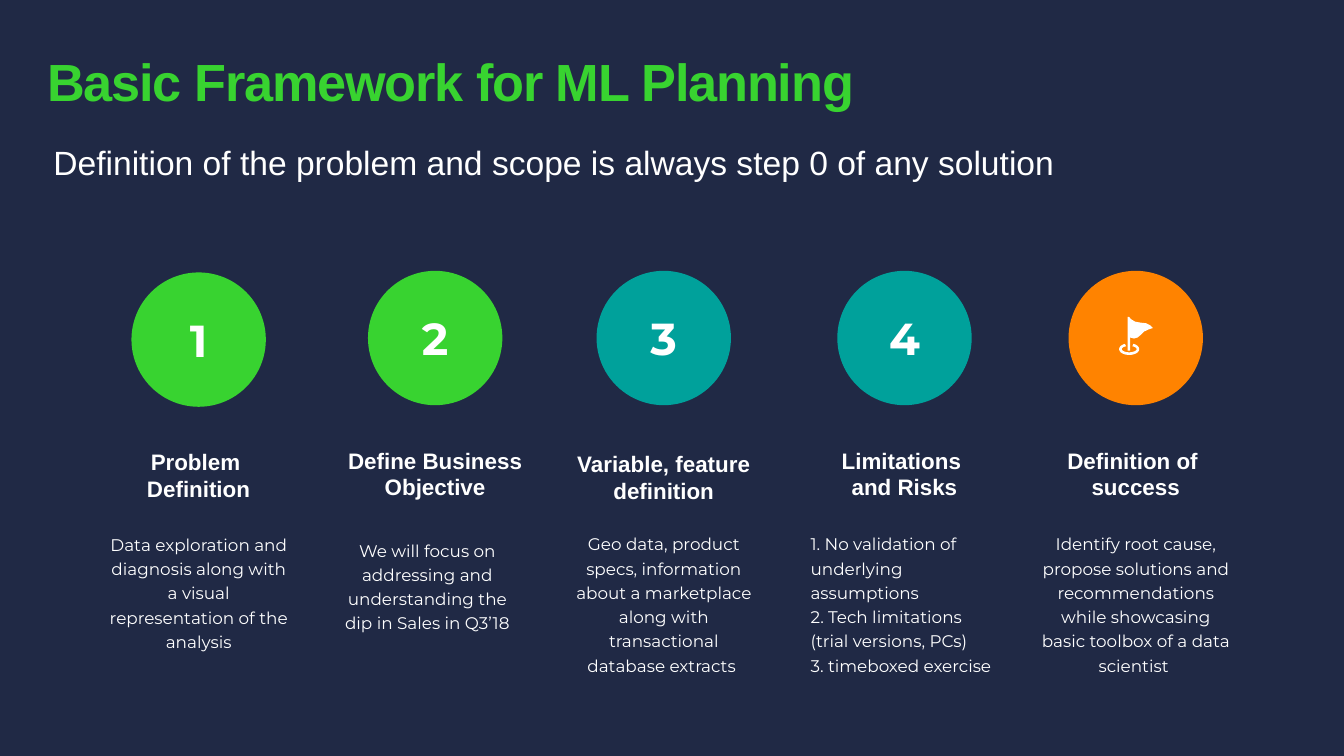
"""Build the ML planning framework slide: a title, a subtitle and five numbered steps."""
import math
import pptx
import pptx.util
import pptx.dml.color
import pptx.enum.shapes
import pptx.enum.text
from pptx.util import Cm

ALIGN = pptx.enum.text.PP_ALIGN
ANCHOR = pptx.enum.text.MSO_ANCHOR
THEME = {
    "navy": "202945", "green": "38D330", "teal": "00A19B", "orange": "FF8300", "white": "FFFFFF",
    "title": {"name": "Arial", "size": 28, "bold": True, "color": "green"},
    "subtitle": {"name": "Arial", "size": 18, "bold": False, "color": "white"},
    "number": {"name": "Montserrat", "size": 24, "bold": True, "color": "white"},
    "heading": {"name": "Arial", "size": 12, "bold": True, "color": "white"},
    "body": {"name": "Montserrat", "size": 9, "bold": False, "color": "white"},
}


def rgb(name):
    return pptx.dml.color.RGBColor.from_string(THEME[name])


def write(sp, lines, style, align, anchor, insets, spacing=None):
    tf = sp.text_frame
    frame = {"word_wrap": True, "auto_size": pptx.enum.text.MSO_AUTO_SIZE.NONE,
             "vertical_anchor": anchor,
             "margin_left": Cm(insets[0]), "margin_right": Cm(insets[0]),
             "margin_top": Cm(insets[1]), "margin_bottom": Cm(insets[1])}
    for key, value in frame.items():
        setattr(tf, key, value)
    for i, line in enumerate(lines):
        p = tf.paragraphs[0] if i == 0 else tf.add_paragraph()
        p.alignment = align
        p.space_before = pptx.util.Pt(0)
        if spacing:
            p.line_spacing = spacing
        r = p.add_run()
        r.text = line
        font = {"name": THEME[style]["name"], "bold": THEME[style]["bold"],
                "size": pptx.util.Pt(THEME[style]["size"])}
        for key, value in font.items():
            setattr(r.font, key, value)
        r.font.color.rgb = rgb(THEME[style]["color"])


prs = pptx.Presentation()
prs.slide_width, prs.slide_height = Cm(25.4), Cm(14.29)
s = prs.slides.add_slide(prs.slide_layouts[5])
s.background.fill.solid()
s.background.fill.fore_color.rgb = rgb("navy")

title = s.shapes.title
box = {"left": Cm(0.89), "top": Cm(1.07), "width": Cm(21), "height": Cm(1.42)}
for key, value in box.items():
    setattr(title, key, value)
write(title, ["Basic Framework for ML Planning"], "title", ALIGN.LEFT, ANCHOR.TOP, (0, 0), 0.9)
title.text_frame.paragraphs[0].runs[0].font._element.set("spc", "-60")

subtitle = s.shapes.add_textbox(Cm(0.76), Cm(2.55), Cm(23.37), Cm(1.02))
write(subtitle, ["Definition of the problem and scope is always step 0 of any solution"],
      "subtitle", ALIGN.LEFT, ANCHOR.TOP, (0.25, 0.13))

TIGHT, LOOSE = (0.13, 0.08), (0.25, 0.25)
STEP_WIDTH, CIRCLE = 3.81, 2.54
steps = [
    {"x": 1.85, "circle_y": 5.15, "color": "green", "number": ["1"],
     "heading": ["Problem ", "Definition"], "heading_y": 8.43,
     "body": ["Data exploration and diagnosis along with a visual representation of the analysis"],
     "body_at": (1.85, 9.95), "insets": TIGHT, "align": ALIGN.CENTER},
    {"x": 6.32, "circle_y": 5.12, "color": "green", "number": ["2"],
     "heading": ["Define Business Objective"], "heading_y": 8.4,
     "body": ["We will focus on addressing and understanding the dip in Sales in Q3’18"],
     "body_at": (6.17, 9.89), "insets": LOOSE, "align": ALIGN.CENTER},
    {"x": 10.64, "circle_y": 5.12, "color": "teal", "number": ["3"],
     "heading": ["Variable, feature definition"], "heading_y": 8.47,
     "body": ["Geo data, product specs, information about a marketplace along with "
              "transactional database extracts "],
     "body_at": (10.64, 9.94), "insets": TIGHT, "align": ALIGN.CENTER},
    {"x": 15.19, "circle_y": 5.12, "color": "teal", "number": ["4"],
     "heading": ["Limitations ", "and Risks"], "heading_y": 8.4,
     "body": ["1. No validation of underlying assumptions",
              "2. Tech limitations (trial versions, PCs)", "3. timeboxed exercise"],
     "body_at": (15.19, 9.94), "insets": TIGHT, "align": ALIGN.LEFT},
    {"x": 19.56, "circle_y": 5.12, "color": "orange", "number": [],
     "heading": ["Definition of ", "success"], "heading_y": 8.4,
     "body": ["Identify root cause, propose solutions and recommendations while "
              "showcasing basic toolbox of a data scientist "],
     "body_at": (19.56, 9.94), "insets": TIGHT, "align": ALIGN.CENTER},
]
for step in steps:
    circle = s.shapes.add_shape(pptx.enum.shapes.MSO_SHAPE.OVAL,
                                Cm(step["x"] + (STEP_WIDTH - CIRCLE) / 2), Cm(step["circle_y"]),
                                Cm(CIRCLE), Cm(CIRCLE))
    circle.shadow.inherit = False
    circle.fill.solid()
    circle.fill.fore_color.rgb = rgb(step["color"])
    circle.line.fill.background()
    write(circle, step["number"], "number", ALIGN.CENTER, ANCHOR.MIDDLE, TIGHT)

    heading = s.shapes.add_textbox(Cm(step["x"]), Cm(step["heading_y"]), Cm(STEP_WIDTH), Cm(1.14))
    write(heading, step["heading"], "heading", ALIGN.CENTER, ANCHOR.BOTTOM, TIGHT)

    left, top = step["body_at"]
    body = s.shapes.add_textbox(Cm(left), Cm(top), Cm(STEP_WIDTH), Cm(2.9))
    write(body, step["body"], "body", step["align"], ANCHOR.TOP, step["insets"], 1.2)

flag = [(21.31, 5.99), (21.34, 5.99), (21.37, 6.03), (21.45, 6.08), (21.56, 6.1), (21.66, 6.11),
        (21.74, 6.15), (21.79, 6.2), (21.7, 6.23), (21.62, 6.27), (21.56, 6.33), (21.5, 6.38),
        (21.43, 6.4), (21.36, 6.38), (21.36, 6.63), (21.31, 6.63)]
angles = [math.radians(a) for a in range(-65, 246, 10)]
outer, inner = [[(21.34 + rx * math.cos(a), 6.6 + ry * math.sin(a)) for a in angles]
                for rx, ry in ((0.19, 0.11), (0.14, 0.06))]
for outline in (flag, outer + inner[::-1]):
    points = [(Cm(x), Cm(y)) for x, y in outline]
    builder = s.shapes.build_freeform(*points[0])
    builder.add_line_segments(points[1:], close=True)
    sp = builder.convert_to_shape()
    sp.shadow.inherit = False
    sp.fill.solid()
    sp.fill.fore_color.rgb = rgb("white")
    sp.line.fill.background()

prs.save("out.pptx")
